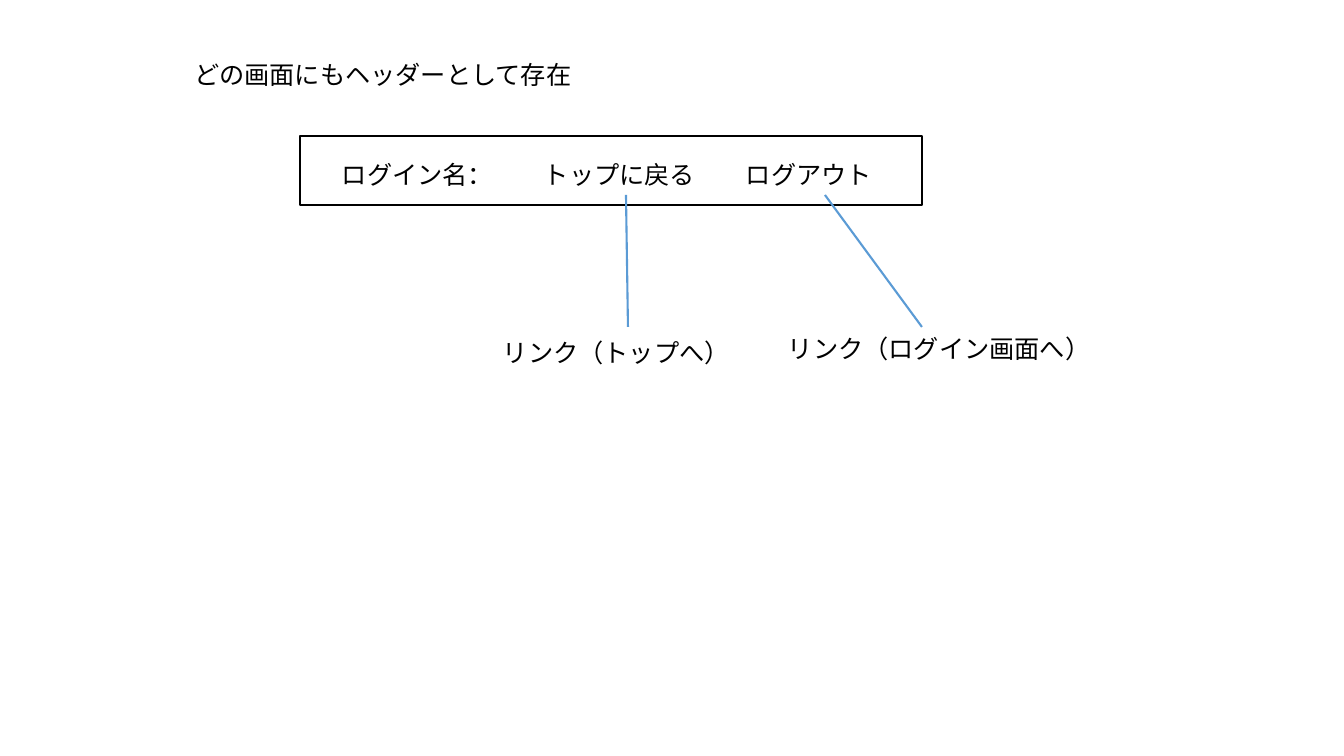
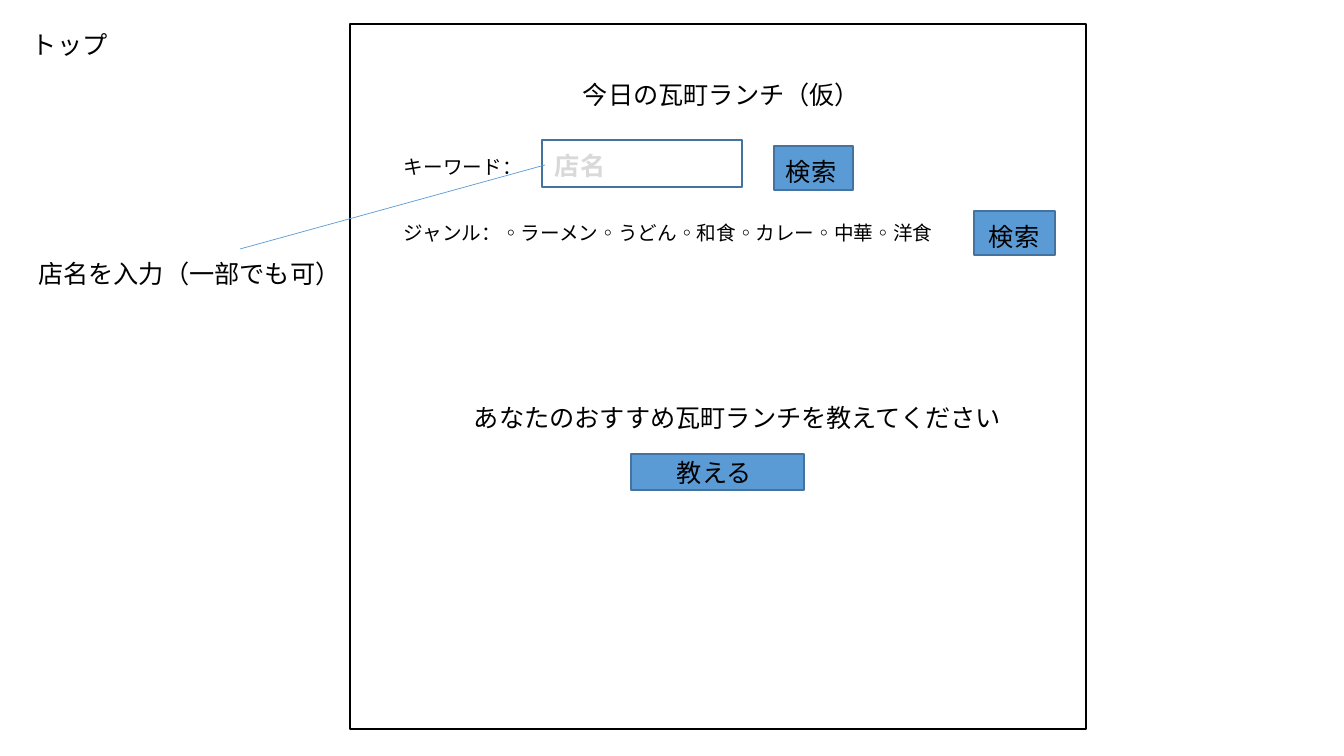
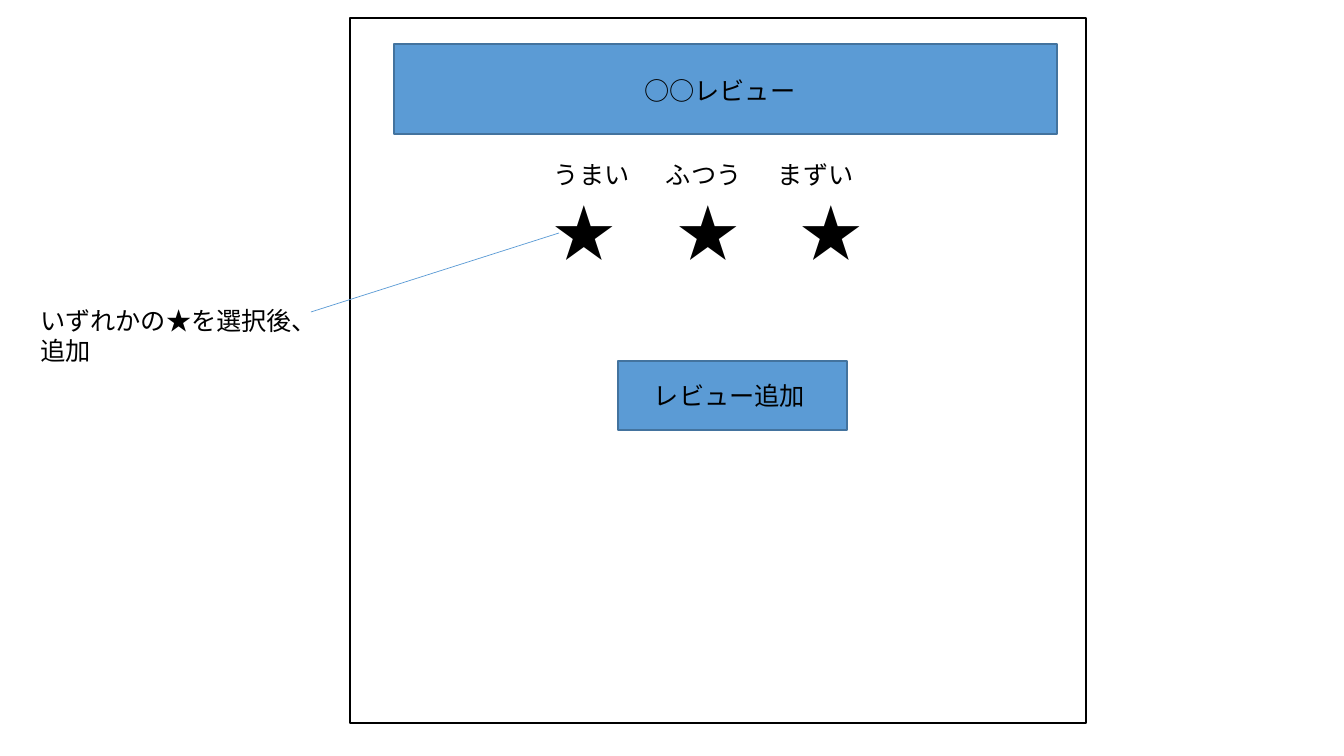
from pptx import Presentation
from pptx.dml.color import RGBColor
from pptx.enum.shapes import MSO_CONNECTOR, MSO_SHAPE
from pptx.enum.text import MSO_ANCHOR, MSO_AUTO_SIZE, PP_ALIGN
from pptx.oxml.ns import qn
from pptx.oxml.xmlchemy import OxmlElement
from pptx.util import Pt

RECTANGLE = MSO_SHAPE.RECTANGLE
STRAIGHT = MSO_CONNECTOR.STRAIGHT
TOP = MSO_ANCHOR.TOP
FIXED = MSO_AUTO_SIZE.NONE
LEFT = PP_ALIGN.LEFT
CENTER = PP_ALIGN.CENTER

EMU_PER_PIXEL = 914400 / 100.8
FONT = "Noto Sans CJK JP"
COLORS = {
    "ink": "000000",
    "accent": "5B9BD5",
    "edge": "43739E",
    "hint": "D9D9D9",
}
TITLE_ONLY, BLANK = 5, 6
LINE_HEIGHT = 40
INSET_X, INSET_Y = 10, 5


def px(*lengths):
    return [round(length * EMU_PER_PIXEL) for length in lengths]


def color(name):
    return RGBColor.from_string(COLORS[name])


def write(holder, text, size=18, ink="ink", bold=False, align=LEFT,
          inset=(INSET_X, INSET_Y)):
    frame = holder.text_frame
    frame.word_wrap = True
    frame.auto_size = FIXED
    frame.vertical_anchor = TOP
    frame.margin_left, frame.margin_top = px(*inset)
    frame.margin_right, frame.margin_bottom = px(0, 0)
    frame.text = text
    paragraph = frame.paragraphs[0]
    paragraph.alignment = align
    font = paragraph.font
    font.size = Pt(size)
    font.bold = bold
    font.color.rgb = color(ink)
    font.name = FONT
    east_asian = OxmlElement("a:ea")
    east_asian.set("typeface", FONT)
    paragraph._p.pPr.find(qn("a:defRPr")).append(east_asian)


def add_title(slide, left, top, width, text):
    title = slide.shapes.title
    title.left, title.top, title.width, title.height = px(
        left, top, width, LINE_HEIGHT)
    write(title, text)


def add_label(slide, left, top, width, text, height=LINE_HEIGHT, **style):
    write(slide.shapes.add_textbox(*px(left, top, width, height)), text, **style)


def add_label_row(slide, left, top, step, texts):
    for column, text in enumerate(texts):
        add_label(slide, left + column * step, top, step, text)


def add_box(slide, box, edge="ink", fill=None):
    outline = slide.shapes.add_shape(RECTANGLE, *px(*box))
    outline.shadow.inherit = False
    outline.line.color.rgb = color(edge)
    outline.line.width = Pt(1)
    if fill:
        outline.fill.solid()
        outline.fill.fore_color.rgb = color(fill)
    else:
        outline.fill.background()
    return outline


def add_button(slide, box, text, inset):
    write(add_box(slide, box, "edge", "accent"), text, inset=inset)


def add_callout_line(slide, start, end, weight):
    callout = slide.shapes.add_connector(STRAIGHT, *px(*start, *end))
    callout.line.color.rgb = color("accent")
    callout.line.width = Pt(weight)
    callout._element.spPr.append(OxmlElement("a:effectLst"))


def add_screen_frame(slide, top):
    add_box(slide, (350, top, 736, 705))


def build_header(slide):
    add_title(slide, 184, 54, 937, "どの画面にもヘッダーとして存在")
    add_box(slide, (300, 136, 622, 69))
    add_label_row(slide, 332, 154, 202, ["ログイン名：", "トップに戻る", "ログアウト"])
    add_callout_line(slide, (626, 195), (628, 327), 1.5)
    add_callout_line(slide, (825, 195), (922, 327), 1.5)
    add_label(slide, 493, 332, 270, "リンク（トップへ）")
    add_label(slide, 778, 328, 330, "リンク（ログイン画面へ）")


def build_top(slide):
    add_title(slide, 22, 24, 166, "トップ")
    add_screen_frame(slide, 24)
    add_label(slide, 538, 74, 367, "今日の瓦町ランチ（仮）",
              align=CENTER, inset=(0, INSET_Y))
    add_label(slide, 394, 150, 140, "キーワード：", size=14)
    keyword_field = add_box(slide, (542, 140, 200, 47), "edge")
    write(keyword_field, "店名", ink="hint", bold=True, inset=(13, 10))
    add_button(slide, (774, 146, 79, 44), "検索", (12, 10))
    add_label(slide, 394, 216, 570, "ジャンル：◦ラーメン◦うどん◦和食◦カレー◦中華◦洋食", size=14)
    add_button(slide, (974, 211, 81, 44), "検索", (15, 10))
    add_label(slide, 464, 397, 557, "あなたのおすすめ瓦町ランチを教えてください")
    add_button(slide, (631, 454, 173, 36), "教える", (46, 3))
    add_callout_line(slide, (240, 249), (545, 165), 0.5)
    add_label(slide, 28, 253, 335, "店名を入力（一部でも可）")


def build_review(slide):
    add_screen_frame(slide, 18)
    add_button(slide, (394, 44, 663, 90), "○○レビュー", (250, 31))
    add_label_row(slide, 544, 154, 112, ["うまい", "ふつう", "まずい"])
    add_label(slide, 544, 190, 559, "★　★　★", height=85, size=44)
    add_button(slide, (618, 361, 229, 69), "レビュー追加", (36, 19))
    add_callout_line(slide, (311, 312), (559, 233), 0.5)
    add_label(slide, 30, 300, 293, "いずれかの★を選択後、追加", height=72)


def main():
    deck = Presentation()
    deck.slide_width, deck.slide_height = px(1344, 756)
    pages = [
        (TITLE_ONLY, build_header),
        (TITLE_ONLY, build_top),
        (BLANK, build_review),
    ]
    for layout, build in pages:
        build(deck.slides.add_slide(deck.slide_layouts[layout]))
    deck.save("out.pptx")


main()
